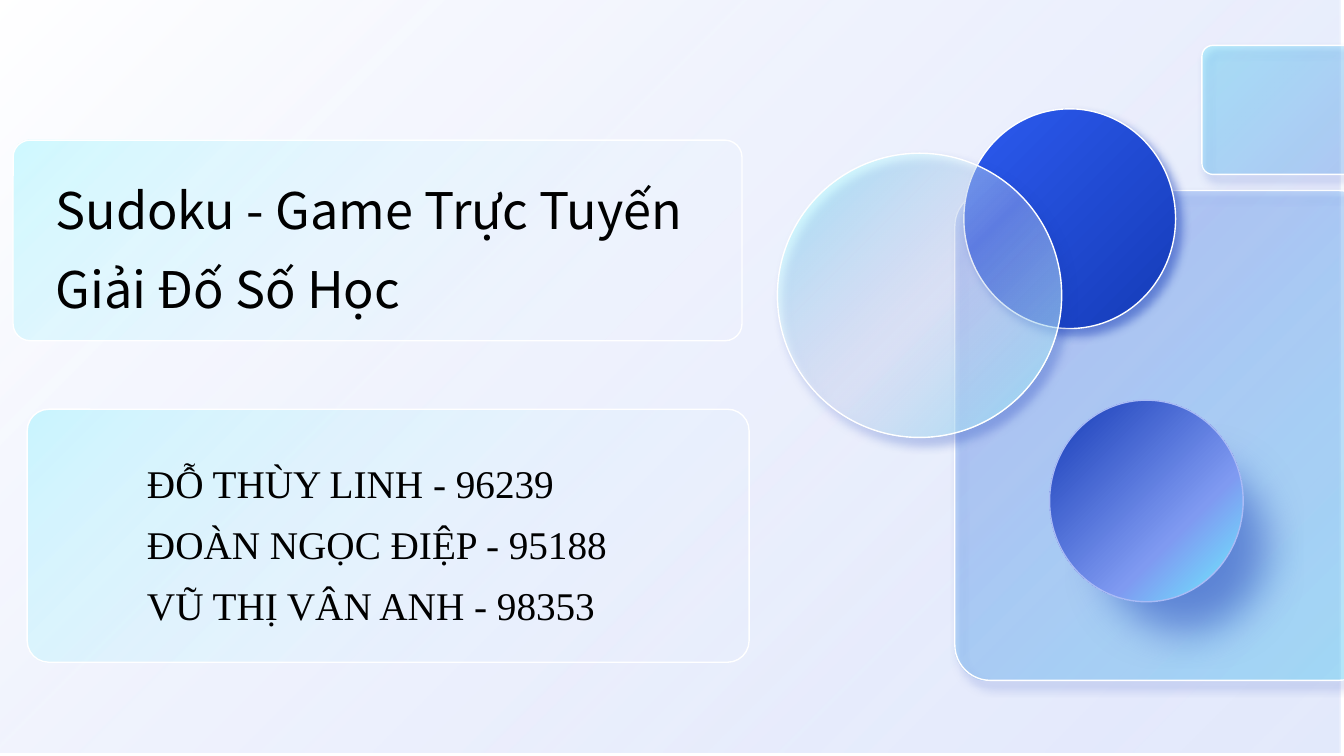
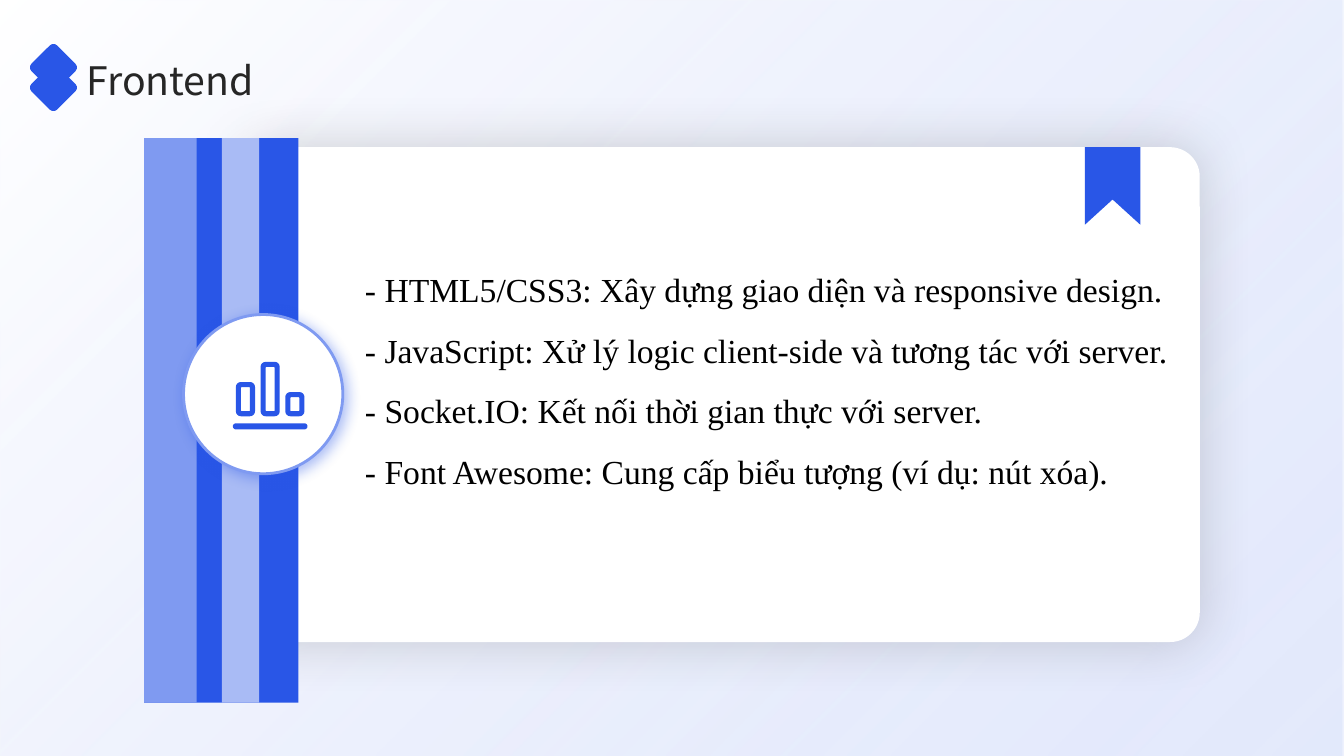
from dataclasses import dataclass
from math import cos, radians, sin

from lxml import etree
from pptx import Presentation
from pptx.dml.color import RGBColor
from pptx.enum.shapes import MSO_SHAPE
from pptx.enum.text import MSO_ANCHOR, MSO_AUTO_SIZE, PP_ALIGN
from pptx.oxml.ns import qn
from pptx.util import Inches, Pt

RECT, ROUNDED, OVAL = MSO_SHAPE.RECTANGLE, MSO_SHAPE.ROUNDED_RECTANGLE, MSO_SHAPE.OVAL
TOP, MIDDLE = MSO_ANCHOR.TOP, MSO_ANCHOR.MIDDLE
LEFT, NO_AUTOFIT = PP_ALIGN.LEFT, MSO_AUTO_SIZE.NONE
TITLE_ONLY = 5
SLIDE_W, SLIDE_H = 13.33, 7.5


@dataclass(frozen=True)
class Theme:
    blue: str = "2956E7"
    navy: str = "153BB7"
    periwinkle: str = "7F9AF1"
    lavender: str = "A9BBF5"
    cyan: str = "0CE8FF"
    pale_cyan: str = "CEFAFF"
    ice: str = "9EF6FF"
    aqua: str = "6DF1FF"
    mist: str = "D4DDFA"
    white: str = "FFFFFF"
    black: str = "000000"
    charcoal: str = "262626"
    title_font: str = "Noto Sans CJK SC"
    body_font: str = "Times New Roman"
    cover_size: int = 36
    heading_size: int = 28
    names_size: int = 28
    body_size: int = 24


T = Theme()
# Shadows: colour, opacity %, blur pt, distance pt, direction degrees, scale %
GLASS_SHADOW = (T.navy, 50, 7, 6, 50, 100)
BALL_SHADOW = (T.navy, 50, 31, 42, 50, 84)
CARD_SHADOW = (T.charcoal, 20, 40, 0, 0, 100)
BADGE_SHADOW = (T.blue, 40, 10, 3, 45, 100)


def add_colour(parent, colour, opacity=100):
    node = etree.SubElement(parent, qn("a:srgbClr"), val=colour)
    if opacity < 100:
        etree.SubElement(node, qn("a:alpha"), val=str(opacity * 1000))


def paint_gradient(shape, stops):
    """Diagonal gradient from top left; a stop is position, colour, opacity."""
    shape.fill.gradient()
    shape.fill.gradient_angle = 315
    stop_list = next(shape._element.iter(qn("a:gsLst")))
    for old_stop in list(stop_list):
        stop_list.remove(old_stop)
    for position, *colour in stops:
        stop = etree.SubElement(stop_list, qn("a:gs"), pos=str(position * 1000))
        add_colour(stop, *colour)


def cast_shadow(shape, colour, opacity, blur, distance, direction, scale):
    effects = shape._element.spPr.find(qn("a:effectLst"))
    shadow = etree.SubElement(
        effects, qn("a:outerShdw"), blurRad=str(Pt(blur)), dist=str(Pt(distance)),
        dir=str(direction * 60000), sx=str(scale * 1000), sy=str(scale * 1000),
        algn="ctr", rotWithShape="0")
    add_colour(shadow, colour, opacity)


def style(shape, fill, line=None, width=1, shadow=None):
    """Fill is a colour or a list of gradient stops."""
    shape.shadow.inherit = False
    if isinstance(fill, str):
        shape.fill.solid()
        shape.fill.fore_color.rgb = RGBColor.from_string(fill)
    else:
        paint_gradient(shape, fill)
    if line:
        shape.line.color.rgb = RGBColor.from_string(line)
        shape.line.width = Pt(width)
    else:
        shape.line.fill.background()
    if shadow:
        cast_shadow(shape, *shadow)


def add_part(slide, kind, box, fill, radius=None, **look):
    part = slide.shapes.add_shape(kind, *map(Inches, box))
    if radius is not None:
        part.adjustments[0] = radius
    style(part, fill, **look)
    return part


def add_outline(slide, contours, fill):
    """One freeform made of closed contours, given as lists of points."""
    contours = [[(Inches(x), Inches(y)) for x, y in points] for points in contours]
    first, *others = contours
    builder = slide.shapes.build_freeform(*first[0])
    builder.add_line_segments(first[1:])
    for points in others:
        builder.move_to(*points[0])
        builder.add_line_segments(points[1:])
    style(builder.convert_to_shape(), fill)


def rounded_points(x, y, w, h, r):
    corners = [(x + w - r, y + h - r), (x + r, y + h - r),
               (x + r, y + r), (x + w - r, y + r)]
    return [(cx + r * cos(radians(90 * i + step)), cy + r * sin(radians(90 * i + step)))
            for i, (cx, cy) in enumerate(corners) for step in (0, 22.5, 45, 67.5, 90)]


def set_text(holder, box, lines, font, size, colour, spacing, anchor=MIDDLE, inset=0.0):
    holder.left, holder.top, holder.width, holder.height = map(Inches, box)
    frame = holder.text_frame
    frame.text = "\n".join(lines)
    frame.word_wrap = True
    frame.auto_size = NO_AUTOFIT
    frame.vertical_anchor = anchor
    frame.margin_left = frame.margin_right = Inches(inset)
    frame.margin_top = frame.margin_bottom = Inches(inset / 2)
    for paragraph in frame.paragraphs:
        paragraph.alignment = LEFT
        paragraph.line_spacing = spacing
        paragraph.font.name = font
        paragraph.font.size = Pt(size)
        paragraph.font.color.rgb = RGBColor.from_string(colour)


def add_text(slide, box, *text, **options):
    set_text(slide.shapes.add_textbox(*map(Inches, box)), box, *text, **options)


def new_slide(prs, shift=0.0):
    slide = prs.slides.add_slide(prs.slide_layouts[TITLE_ONLY])
    add_part(slide, RECT, (shift, shift, SLIDE_W, SLIDE_H),
             [(0, T.white), (98, T.mist, 64)])
    return slide


def place_title(slide, box, text, size, colour, spacing, inset=0.0):
    title = slide.shapes.title
    set_text(title, box, [text], T.title_font, size, colour, spacing, inset=inset)
    # Bring the title in front of the panels
    slide.shapes._spTree.append(title._element)


def glass_panel(slide, box):
    add_part(slide, ROUNDED, box, [(0, T.cyan, 18), (86, T.pale_cyan, 0)],
             radius=0.085, line=T.white)


def cover_art(slide, x, y):
    """Overlapping glass cards and balls, from the top left corner of the art."""
    parts = [
        # Large card
        (ROUNDED, (1.76, 1.44, 4.16, 4.86), [(14, T.blue, 20), (100, T.cyan, 22)],
         0.085, T.white, GLASS_SHADOW),
        # Dark ball
        (OVAL, (1.85, 0.63, 2.1, 2.18), [(14, T.blue), (100, T.navy)],
         None, T.white, GLASS_SHADOW),
        # Shaded ball
        (OVAL, (2.7, 3.52, 1.92, 2), [(0, T.navy), (66, T.periwinkle), (100, T.aqua)],
         None, T.lavender, BALL_SHADOW),
        # Glass ball
        (OVAL, (0, 1.07, 2.82, 2.82),
         [(0, T.ice, 70), (51, T.white, 27), (100, T.ice, 70)],
         None, T.white, GLASS_SHADOW),
        # Small card
        (ROUNDED, (4.21, 0, 2.82, 1.28), [(0, T.cyan, 22), (100, T.blue, 20)],
         0.085, T.white, GLASS_SHADOW),
    ]
    for kind, (dx, dy, w, h), fill, radius, line, shadow in parts:
        add_part(slide, kind, (x + dx, y + dy, w, h), fill, radius,
                 line=line, shadow=shadow)


def heading(slide, x, y, text):
    """Two stacked diamonds followed by the slide title."""
    side = 0.36
    for drop in (0, 0.2):
        diamond = add_part(slide, ROUNDED, (x + 0.07, y + drop - 0.02, side, side),
                           T.blue, radius=0.14)
        diamond.rotation = 45
    place_title(slide, (x + 0.58, y, 11.67, 0.51), text,
                T.heading_size, T.charcoal, 1.1)


def bookmark(slide, x, y, w, h):
    notch = h - 0.25
    add_outline(slide, [[(x, y), (x + w, y), (x + w, y + h),
                         (x + w / 2, y + notch), (x, y + h)]], T.blue)


def spine(slide, x, y, h):
    """Blue band with two lighter stripes."""
    for dx, width, colour in ((0, 1.53, T.blue), (0, 0.52, T.periwinkle),
                              (0.77, 0.37, T.lavender)):
        add_part(slide, RECT, (x + dx, y, width, h), colour)


def chart_badge(slide, x, y, size):
    """White disc with a small bar chart symbol."""
    add_part(slide, OVAL, (x, y, size, size), T.white,
             line=T.periwinkle, width=2, shadow=BADGE_SHADOW)
    bar_w, pitch, wall, base = 0.19, 0.245, 0.05, y + 1.01
    contours = [rounded_points(x + 0.49, y + 1.08, 0.74, 0.06, 0.03)]
    for i, bar_h in enumerate((0.34, 0.54, 0.24)):
        left, top = x + 0.52 + i * pitch, base - bar_h
        contours.append(rounded_points(left, top, bar_w, bar_h, wall))
        hollow = rounded_points(left + wall, top + wall,
                                bar_w - 2 * wall, bar_h - 2 * wall, 0.01)
        contours.append(hollow[::-1])
    add_outline(slide, contours, T.blue)


def content_card(slide, x, y, w, h, lines):
    add_part(slide, ROUNDED, (x, y, w, h), T.white, radius=0.06, shadow=CARD_SHADOW)
    bookmark(slide, x + w - 1.14, y, 0.55, 0.77)
    add_text(slide, (x + 1.18, y + 1.01, 8, 3.5), lines,
             T.body_font, T.body_size, T.black, 1.5, anchor=TOP)
    spine(slide, x - 1.01, y - 0.09, 5.6)
    chart_badge(slide, x - 0.62, y + 1.66, 1.58)


def cover_slide(prs, title, names):
    slide = new_slide(prs, shift=-0.03)
    glass_panel(slide, (0.13, 1.39, 7.23, 1.99))
    glass_panel(slide, (0.27, 4.06, 7.16, 2.51))
    cover_art(slide, 7.71, 0.45)
    place_title(slide, (0.45, 1.47, 6.8, 1.82), title,
                T.cover_size, T.black, 1.3, inset=0.1)
    add_text(slide, (1.36, 4.23, 5.87, 2.19), names,
             T.body_font, T.names_size, T.black, 1.3, inset=0.1)


def topic_slide(prs, title, lines):
    slide = new_slide(prs)
    content_card(slide, 2.44, 1.46, 9.46, 4.91, lines)
    heading(slide, 0.28, 0.51, title)


def main():
    prs = Presentation()
    prs.slide_width, prs.slide_height = Inches(SLIDE_W), Inches(SLIDE_H)
    cover_slide(prs, "Sudoku - Game Trực Tuyến Giải Đố Số Học", [
        "ĐỖ THÙY LINH - 96239",
        "ĐOÀN NGỌC ĐIỆP - 95188",
        "VŨ THỊ VÂN ANH - 98353",
    ])
    topic_slide(prs, "Frontend", [
        "- HTML5/CSS3: Xây dựng giao diện và responsive design.",
        "- JavaScript: Xử lý logic client-side và tương tác với server.",
        "- Socket.IO: Kết nối thời gian thực với server.",
        "- Font Awesome: Cung cấp biểu tượng (ví dụ: nút xóa).",
    ])
    prs.save("out.pptx")


if __name__ == "__main__":
    main()
